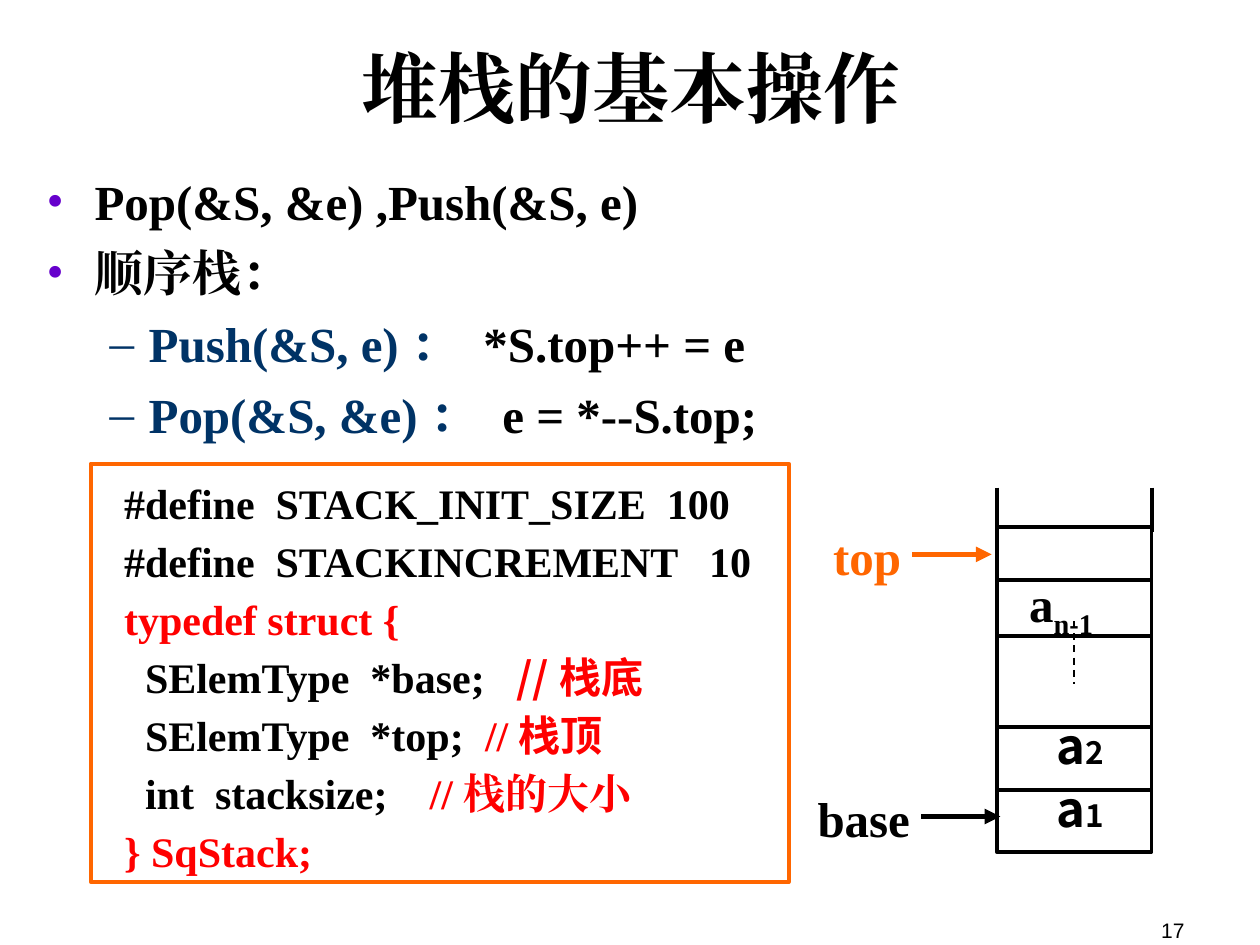
import lxml.etree
import pptx
import pptx.dml.color
import pptx.enum.dml
import pptx.enum.shapes
import pptx.enum.text
import pptx.oxml
import pptx.oxml.ns
import pptx.util

Inches, Pt = pptx.util.Inches, pptx.util.Pt
ALIGN, ANCHOR = pptx.enum.text.PP_ALIGN, pptx.enum.text.MSO_ANCHOR
SHAPE = pptx.enum.shapes.MSO_SHAPE
SERIF, SANS, CJK = "Times New Roman", "Arial", "Noto Sans CJK SC"
BLACK, RED, ORANGE, NAVY, PURPLE = "000000", "FF0000", "FF6600", "003366", "6600CC"


def rgb(value):
    return pptx.dml.color.RGBColor.from_string(value)


def sub(parent, tag, **attrs):
    return lxml.etree.SubElement(parent, pptx.oxml.ns.qn(tag), **attrs)


def add_bullet(p, char, color, left, hanging):
    pPr = p._p.get_or_add_pPr()
    pPr.set("marL", str(Inches(left)))
    pPr.set("indent", str(-Inches(hanging)))
    sub(sub(pPr, "a:buClr"), "a:srgbClr", val=color)
    sub(pPr, "a:buFont", typeface=SERIF)
    sub(pPr, "a:buChar", char=char)


def add_run(p, text, size=28, font=SERIF, color=BLACK, bold=True, baseline=None):
    r = p.add_run()
    r.text = text
    r.font.size, r.font.bold, r.font.name = Pt(size), bold, font
    r.font.color.rgb = rgb(color)
    rPr = r._r.get_or_add_rPr()
    sub(rPr, "a:ea", typeface=font)
    if baseline:
        rPr.set("baseline", str(baseline))


def write(sp, paragraphs, align=ALIGN.LEFT, anchor=ANCHOR.TOP, line=None, before=0,
          bullets=None, **font):
    """Fill sp; each paragraph is a list of (text, format) runs."""
    tf = sp.text_frame
    tf.word_wrap = True
    tf.auto_size = pptx.enum.text.MSO_AUTO_SIZE.NONE
    tf.vertical_anchor = anchor
    for i, runs in enumerate(paragraphs):
        p = tf.add_paragraph() if i else tf.paragraphs[0]
        if bullets:
            p.level = bullets[i]
            add_bullet(p, *BULLETS[bullets[i]])
        p.alignment = align
        p.space_before = Pt(before if i else 0)
        if line:
            p.line_spacing = Pt(line)
        for text, own in runs:
            add_run(p, text, **{**font, **own})


BULLETS = [("•", PURPLE, 0.38, 0.38), ("–", NAVY, 0.81, 0.31)]


def place(sp, x, y, w, h):
    sp.left, sp.top, sp.width, sp.height = map(Inches, (x, y, w, h))
    return sp


def add_label(s, x, y, w, h, runs, **fmt):
    sp = s.shapes.add_textbox(*map(Inches, (x, y, w, h)))
    write(sp, [runs], **fmt)


def add_frame(s, x, y, w, h, color):
    sp = s.shapes.add_shape(SHAPE.RECTANGLE, *map(Inches, (x, y, w, h)))
    sp.shadow.inherit = False
    sp.fill.background()
    sp.line.color.rgb, sp.line.width = rgb(color), Pt(2.25)
    return sp


def add_line(s, x1, y1, x2, y2, color=BLACK, width=2.25, dashed=False, arrow=False):
    c = s.shapes.add_connector(pptx.enum.shapes.MSO_CONNECTOR.STRAIGHT,
                               *map(Inches, (x1, y1, x2, y2)))
    c.line.color.rgb, c.line.width = rgb(color), Pt(width)
    if dashed:
        c.line.dash_style = pptx.enum.dml.MSO_LINE.DASH
    if arrow:
        sub(c.line._get_or_add_ln(), "a:tailEnd", type="triangle")
    sub(c._element.spPr, "a:effectLst")


def add_title(s, x, y, w, h):
    write(place(s.shapes.title, x, y, w, h), [[("堆栈的基本操作", {})]],
          size=44, align=ALIGN.CENTER, anchor=ANCHOR.MIDDLE)


def add_operations(s, x, y, w, h):
    navy = {"color": NAVY}
    write(place(s.placeholders[1], x, y, w, h), [
        [("Pop(&S, &e) ,Push(&S, e)", {})],
        [("顺序栈：", {})],
        [("Push(&S, e)： ", navy), ("*S.top++ = e", {})],
        [("Pop(&S, &e)： ", navy), ("e = *--S.top;", {})],
    ], bullets=[0, 0, 1, 1], line=33.6, before=7)


def add_code(s, x, y, w, h):
    red, red_cjk = {"color": RED}, {"color": RED, "font": CJK}
    write(add_frame(s, x, y, w, h, ORANGE), [
        [("  #define  STACK_INIT_SIZE  100", {})],
        [("  #define  STACKINCREMENT   10", {})],
        [("  typedef struct {", red)],
        [("    SElemType  *base;   ", {}), ("//栈底", red_cjk)],
        [("    SElemType  *top;  ", {}), ("//", red), ("栈顶", red_cjk)],
        [("    int  stacksize;    ", {}), ("//栈的大小", red)],
        [("  } SqStack;", red)],
    ], size=24, line=33.1)


def add_stack(s, x, y, w, h):
    """Draw the stack cells, with the open top rising above the box."""
    add_frame(s, x, y, w, h, BLACK)
    for dy in (0.42, 0.87, 1.59, 2.09):
        add_line(s, x, y + dy, x + w, y + dy)
    for side in (x, x + w):
        add_line(s, side, y - 0.31, side, y + 0.04)
    add_line(s, x + w / 2, y + 0.75, x + w / 2, y + 1.25, width=1, dashed=True)
    add_label(s, x + 0.16, y + 0.32, 1.02, 0.63,
              [("a", {}), ("n-1", {"baseline": -25000})])
    for index, dy in (("2", 1.45), ("1", 1.95)):
        add_label(s, x + 0.38, y + dy, 0.62, 0.57,
                  [("a", {}), (index, {"size": 18})], font=CJK)


def add_pointer(s, x, y, w, name, color):
    """Write a name ending at x, with an arrow of width w at height y."""
    add_label(s, x - 1.34, y - 0.27, 1.35, 0.57, [(name, {})],
              color=color, align=ALIGN.RIGHT)
    add_line(s, x, y, x + w, y, color=color, width=3, arrow=True)


def main():
    prs = pptx.Presentation()
    prs.slide_width, prs.slide_height = Inches(10), Inches(7.5)
    s = prs.slides.add_slide(prs.slide_layouts[1])
    add_title(s, 0.51, 0.13, 9, 1.12)
    add_operations(s, 0.27, 1.31, 9.45, 5.67)
    add_stack(s, 7.91, 4.18, 1.23, 2.58)
    add_pointer(s, 7.31, 6.48, 0.63, "base", BLACK)
    add_pointer(s, 7.24, 4.4, 0.63, "top", ORANGE)
    add_code(s, 0.72, 3.68, 5.54, 3.32)
    add_label(s, 7.17, 7.03, 2.33, 0.5, [("17", {})], size=12, font=SANS,
              bold=False, align=ALIGN.RIGHT, anchor=ANCHOR.BOTTOM)
    prs.save("out.pptx")


if __name__ == "__main__":
    main()
